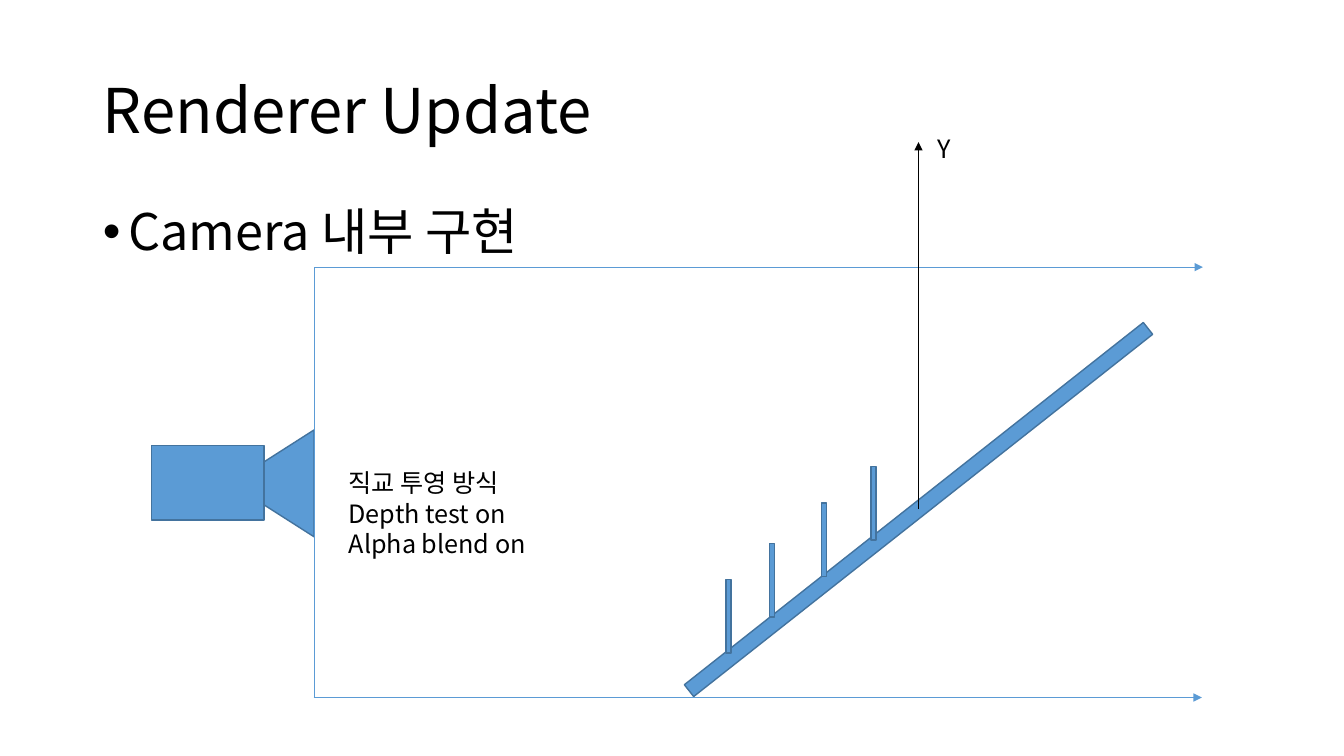
from pptx import Presentation
from pptx.dml.color import RGBColor
from pptx.enum.shapes import MSO_CONNECTOR as Connector, MSO_SHAPE as Shape
from pptx.enum.text import MSO_ANCHOR as Anchor, MSO_AUTO_SIZE as AutoSize, PP_ALIGN as Align
from pptx.oxml.ns import qn
from pptx.util import Inches, Pt
from lxml.etree import SubElement

COLORS = {"text": "000000", "fill": "5B9BD5", "outline": "43739E"}


def color(name):
    """Return the named colour."""
    return RGBColor.from_string(COLORS[name])


class Page:
    """Draws styled elements on one slide."""

    font = "Noto Sans CJK KR"

    def __init__(self, slide):
        """Keep the slide to draw on."""
        self.slide = slide

    def add_span(self, para, text, size):
        """Add one styled run to a paragraph."""
        span = para.add_run()
        span.text = text
        span.font.size = Pt(size)
        span.font.color.rgb = color("text")
        span.font.name = self.font
        SubElement(span.font._element, qn("a:ea")).set("typeface", self.font)

    def place(self, box, left, top, width, height):
        """Move and size a shape."""
        box.left, box.top = Inches(left), Inches(top)
        box.width, box.height = Inches(width), Inches(height)

    def title(self, text):
        """Fill the title placeholder."""
        box = self.slide.shapes.title
        self.place(box, 0.92, 0.4, 11.5, 1.45)
        box.text_frame.vertical_anchor = Anchor.MIDDLE
        box.text_frame.auto_size = AutoSize.NONE
        para = box.text_frame.paragraphs[0]
        para.alignment = Align.LEFT
        para.line_spacing = 0.9
        self.add_span(para, text, 44)

    def bullet(self, text):
        """Fill the body placeholder with one bullet."""
        box = self.slide.placeholders[1]
        self.place(box, 0.92, 2, 11.5, 4.76)
        box.text_frame.auto_size = AutoSize.NONE
        para = box.text_frame.paragraphs[0]
        para.line_spacing = 0.9
        para.space_before = Pt(10)
        self.add_span(para, text, 36)
        settings = para._p.get_or_add_pPr()
        settings.set("marL", str(Inches(0.25)))
        settings.set("indent", str(Inches(-0.25)))
        SubElement(settings, qn("a:buFont")).set("typeface", "Arial")
        SubElement(settings, qn("a:buChar")).set("char", "•")

    def label(self, lines, left, top, width, height):
        """Add a text box with one paragraph per line."""
        box = self.slide.shapes.add_textbox(
            Inches(left), Inches(top), Inches(width), Inches(height))
        frame = box.text_frame
        frame.word_wrap = True
        frame.auto_size = AutoSize.SHAPE_TO_FIT_TEXT
        for index, line in enumerate(lines):
            para = frame.add_paragraph() if index else frame.paragraphs[0]
            self.add_span(para, line, 18)

    def solid(self, kind, left, top, width, height, rotation=0, group=None):
        """Add a filled, outlined shape to the slide or a group."""
        box = (group or self.slide).shapes.add_shape(
            kind, Inches(left), Inches(top), Inches(width), Inches(height))
        box.rotation = rotation
        box.shadow.inherit = False
        box.fill.solid()
        box.fill.fore_color.rgb = color("fill")
        box.line.color.rgb = color("outline")
        box.line.width = Pt(1)

    def line(self, start, end, tone="fill", arrow=True):
        """Add a thin line, with an arrowhead at its end if wanted."""
        link = self.slide.shapes.add_connector(
            Connector.STRAIGHT, *(Inches(value) for value in (*start, *end)))
        link.line.color.rgb = color(tone)
        link.line.width = Pt(0.5)
        properties = link._element.spPr
        if arrow:
            SubElement(properties.find(qn("a:ln")), qn("a:tailEnd")).set("type", "triangle")
        SubElement(properties, qn("a:effectLst"))


def main():
    """Build the camera projection slide."""
    deck = Presentation()
    deck.slide_width, deck.slide_height = Inches(13.33), Inches(7.5)
    page = Page(deck.slides.add_slide(deck.slide_layouts[1]))
    page.title("Renderer Update")
    page.bullet("Camera 내부 구현")

    page.solid(Shape.RECTANGLE, 6.21, 4.98, 5.8, 0.15, rotation=321.7)
    camera = page.slide.shapes.add_group_shape()
    page.solid(Shape.ISOSCELES_TRIANGLE, 2.17, 4.38, 1.06, 0.83, rotation=270, group=camera)
    page.solid(Shape.RECTANGLE, 1.5, 4.42, 1.12, 0.74, group=camera)

    near, view_top, view_bottom = 3.12, 2.65, 6.92
    for edge, start in ((view_top, near), (view_bottom, near - 0.01)):
        page.line((start, edge), (start + 8.81, edge))
    page.line((near, view_top), (near, view_bottom), arrow=False)
    page.label(["직교 투영 방식", "Depth test on", "Alpha blend on"], 3.36, 4.59, 3.48, 1.01)

    page.line((9.11, 5.05), (9.11, 1.41), tone="text")
    page.label(["Y"], 9.2, 1.27, 0.42, 0.4)
    for left, top in ((7.2, 5.75), (7.63, 5.39), (8.15, 4.99), (8.64, 4.63)):
        page.solid(Shape.RECTANGLE, left, top, 0.05, 0.73)
    deck.save("out.pptx")


if __name__ == "__main__":
    main()
